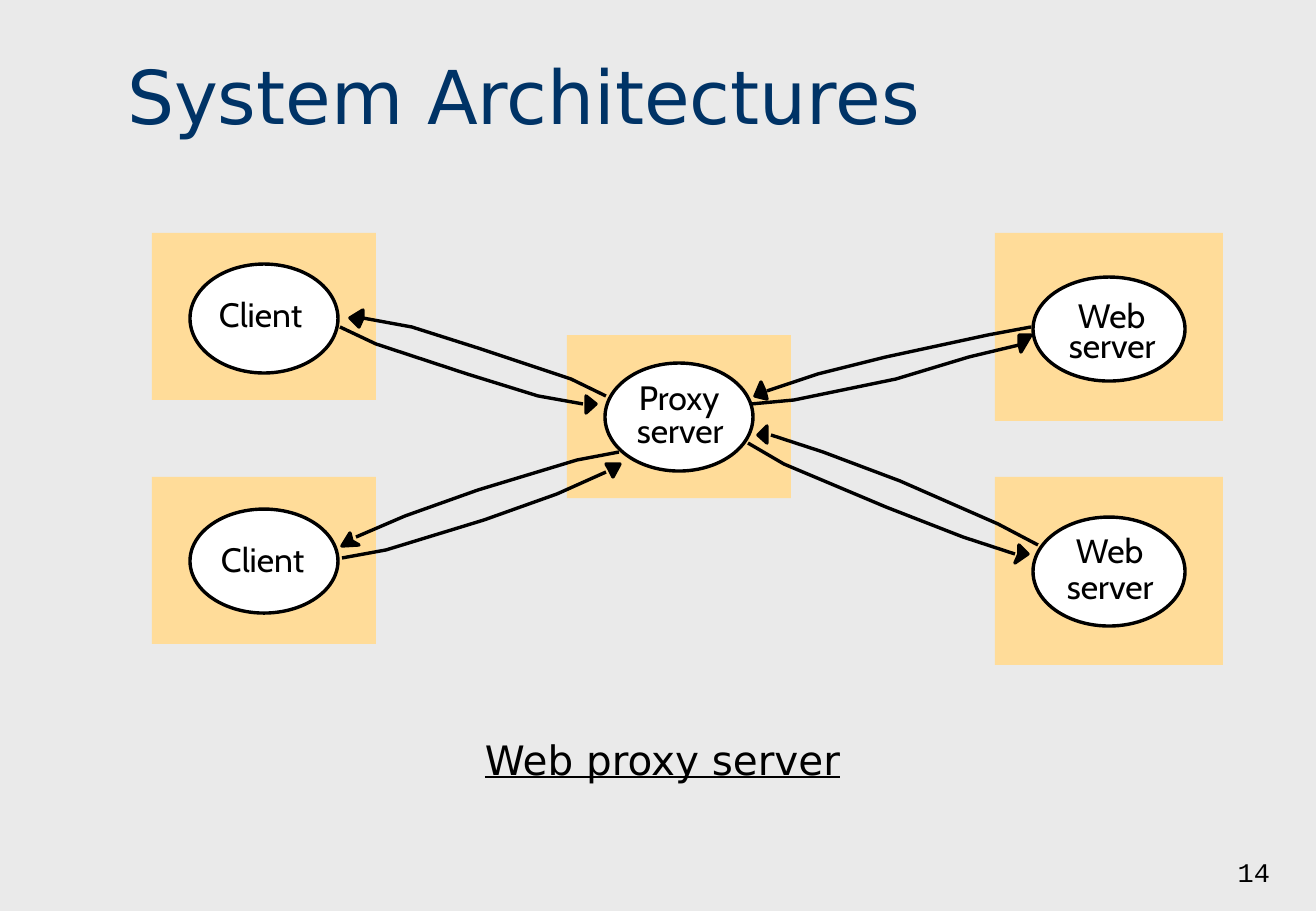
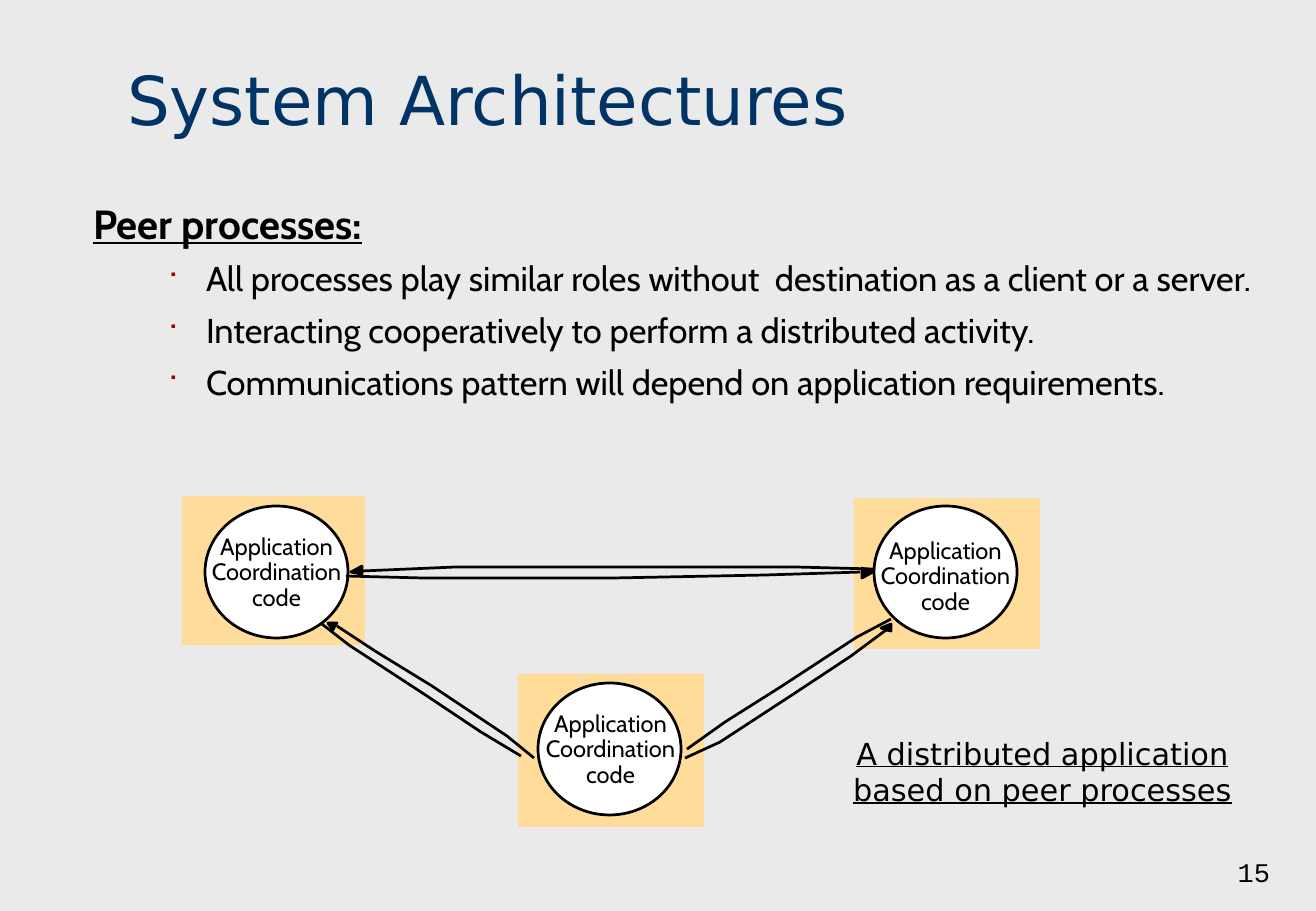
import pptx
import pptx.util
import pptx.dml.color
import pptx.enum.shapes
import pptx.enum.text
import lxml.etree

SLIDE_WIDTH, SLIDE_HEIGHT = 9907588, 6858000
SCALE = SLIDE_WIDTH / 1316
COLORS = {"background": "EAEAEA", "title": "003366", "ink": "000000",
          "frame": "FFDC99", "oval": "FFFFFF", "bullet": "9A0000"}
HEADING_FONT, BODY_FONT, NUMBER_FONT = "DejaVu Sans", "Cabin", "Courier New"
ALIGN = pptx.enum.text.PP_ALIGN
ANCHOR = pptx.enum.text.MSO_ANCHOR
SHAPE = pptx.enum.shapes.MSO_SHAPE


def px(length):
    """Turn pixels into EMU."""
    return pptx.util.Emu(round(length * SCALE))


def rgb(name):
    """Look up a named colour."""
    return pptx.dml.color.RGBColor.from_string(COLORS[name])


def shift(box, origin):
    """Move a box, given relative to a region, onto the slide."""
    return (box[0] + origin[0], box[1] + origin[1], *box[2:])


def add_text(slide, box, lines, size, font=BODY_FONT, color="ink", align=ALIGN.LEFT,
             anchor=ANCHOR.TOP, inset=(12, 6), wrap=True, spacing=None, before=0,
             underline=False):
    """Place a text box with one paragraph per line; return its frame."""
    frame = slide.shapes.add_textbox(*map(px, box)).text_frame
    frame.word_wrap = wrap
    frame.vertical_anchor = anchor
    frame.margin_left = frame.margin_right = px(inset[0])
    frame.margin_top = frame.margin_bottom = px(inset[1])
    for index, line in enumerate(lines):
        paragraph = frame.paragraphs[0] if index == 0 else frame.add_paragraph()
        paragraph.alignment = align
        paragraph.space_before = pptx.util.Pt(before)
        if spacing:
            paragraph.line_spacing = spacing
        run = paragraph.add_run()
        run.text = line
        run.font.name = font
        run.font.size = pptx.util.Pt(size)
        run.font.color.rgb = rgb(color)
        run.font.underline = underline
    return frame


def paint(shape, fill=None, line_width=None):
    """Give a shape its fill and black outline, or leave either out."""
    shape.shadow.inherit = False
    if fill:
        shape.fill.solid()
        shape.fill.fore_color.rgb = rgb(fill)
    else:
        shape.fill.background()
    if line_width:
        shape.line.color.rgb = rgb("ink")
        shape.line.width = pptx.util.Pt(line_width)
    else:
        shape.line.fill.background()


def add_process(slide, origin, frame, oval, line_width):
    """Draw a process: an oval on its coloured computer frame."""
    computer = slide.shapes.add_shape(SHAPE.RECTANGLE, *map(px, shift(frame, origin)))
    paint(computer, "frame")
    process = slide.shapes.add_shape(SHAPE.OVAL, *map(px, shift(oval, origin)))
    paint(process, "oval", line_width)


def add_outline(slide, origin, points, line_width, closed=False):
    """Draw an open bent line or a closed black outline."""
    start, *rest = [shift(point, origin) for point in points]
    builder = slide.shapes.build_freeform(*start, scale=SCALE)
    builder.add_line_segments(rest, close=closed)
    paint(builder.convert_to_shape(), "ink" if closed else None, line_width)


def add_messages(slide, origin, messages, line_width):
    """Draw each message as a bent line with an optional arrowhead."""
    for route, head in messages:
        add_outline(slide, origin, route, line_width)
        if head:
            add_outline(slide, origin, head, line_width, closed=True)


def add_caption(slide, box, caption, size, before):
    """Write the underlined, centred caption of a diagram."""
    add_text(slide, box, [caption], size, HEADING_FONT, align=ALIGN.CENTER,
             before=before, underline=True)


def add_page(deck, number, title_size):
    """Add a slide with the shared title and page number."""
    slide = deck.slides.add_slide(deck.slide_layouts[6])
    add_text(slide, (115, 44, 1174, 101), ["System Architectures"], title_size,
             HEADING_FONT, "title", anchor=ANCHOR.BOTTOM)
    add_text(slide, (1008, 833, 274, 61), [str(number)], 16, NUMBER_FONT,
             align=ALIGN.RIGHT, anchor=ANCHOR.BOTTOM)
    return slide


def add_proxy_diagram(slide, origin):
    """Draw clients and web servers around the proxy server."""
    line_width = 2
    processes = [
        ((52, 33, 224, 167), (90, 64, 148, 109)),
        ((52, 277, 224, 167), (90, 309, 148, 104)),
        ((467, 135, 224, 163), (505, 163, 148, 108)),
        ((895, 33, 228, 188), (933, 77, 152, 104)),
        ((895, 277, 228, 188), (933, 317, 152, 109)),
    ]
    labels = [
        ("Client", 119, 94), ("Client", 121, 339),
        ("Proxy", 539, 177), ("server", 537, 210),
        ("Web", 978, 95), ("server", 969, 125),
        ("Web", 976, 330), ("server", 967, 366),
    ]
    messages = [
        ([(483, 204), (438, 196), (367, 174), (276, 144), (240, 127)],
         [(486, 196), (496, 204), (486, 213)]),
        ([(263, 118), (312, 127), (378, 148), (471, 179), (506, 196)],
         [(263, 118), (259, 127), (250, 118), (263, 110)]),
        ([(915, 354), (863, 337), (786, 307), (684, 264), (648, 243)],
         [(919, 354), (919, 345), (928, 354), (915, 363)]),
        ([(671, 235), (723, 252), (800, 281), (898, 324), (938, 345)],
         [(667, 243), (658, 235), (667, 226)]),
        ([(919, 145), (869, 157), (796, 179), (694, 200), (651, 204)],
         [(919, 144), (919, 135), (931, 135), (921, 152)]),
        ([(667, 191), (718, 174), (786, 157), (888, 135), (931, 127)],
         [(665, 191), (667, 199), (655, 196), (661, 182)]),
        ([(506, 272), (457, 294), (384, 320), (286, 350), (242, 358)],
         [(509, 269), (506, 264), (520, 264), (513, 277)]),
        ([(256, 337), (305, 316), (378, 290), (477, 260), (519, 252)],
         [(252, 341), (259, 345), (242, 346), (250, 333)]),
    ]
    for frame, oval in processes:
        add_process(slide, origin, frame, oval, line_width)
    for label, left, top in labels:
        add_text(slide, shift((left, top, 90, 40), origin), [label], 20,
                 inset=(0, 0), wrap=False)
    add_messages(slide, origin, messages, line_width)


def add_peer_diagram(slide, origin):
    """Draw three peer processes and the messages between them."""
    line_width = 1.62
    peers = [
        ((82, 96, 183, 149), (105, 106, 143, 132), (96, 129)),
        ((754, 98, 186, 151), (774, 106, 143, 132), (765, 133)),
        ((418, 274, 186, 153), (438, 283, 143, 132), (430, 306)),
    ]
    messages = [
        ([(421, 356), (381, 332), (324, 294), (249, 245), (222, 224)], None),
        ([(237, 226), (275, 251), (332, 286), (407, 336), (434, 358)],
         [(235, 226), (233, 230), (228, 223), (237, 223)]),
        ([(760, 172), (665, 175), (512, 178), (324, 178), (246, 176)],
         [(762, 168), (773, 172), (762, 178)]),
        ([(262, 171), (356, 167), (509, 167), (695, 167), (773, 169)],
         [(262, 174), (251, 172), (262, 166)]),
        ([(587, 349), (625, 322), (682, 286), (757, 237), (791, 219)], None),
        ([(786, 230), (751, 256), (695, 293), (620, 342), (585, 358)],
         [(786, 230), (781, 228), (791, 224), (791, 231)]),
    ]
    for frame, oval, _ in peers:
        add_process(slide, origin, frame, oval, line_width)
    add_messages(slide, origin, messages, line_width)
    for _, _, corner in peers:
        add_text(slide, shift((*corner, 161, 114), origin),
                 ["Application", "Coordination", "code"], 14,
                 align=ALIGN.CENTER, spacing=0.9)


def add_bullet(paragraph):
    """Give a paragraph a hanging square bullet."""
    properties = paragraph._p.get_or_add_pPr()
    properties.set("marL", str(px(113)))
    properties.set("indent", str(px(-38)))
    tag = pptx.oxml.ns.qn
    color = lxml.etree.SubElement(properties, tag("a:buClr"))
    lxml.etree.SubElement(color, tag("a:srgbClr"), val=COLORS["bullet"])
    lxml.etree.SubElement(properties, tag("a:buSzPct"), val="70000")
    lxml.etree.SubElement(properties, tag("a:buFont"), typeface="Wingdings")
    lxml.etree.SubElement(properties, tag("a:buChar"), char="\u25a0")


def add_peer_points(slide, box):
    """Write the underlined heading and its bulleted points."""
    lines = [
        "Peer processes:",
        "All processes play similar roles without  destination as a client or a server.",
        "Interacting cooperatively to perform a distributed activity.",
        "Communications pattern will depend on application requirements.",
    ]
    frame = add_text(slide, box, lines, 20.4, align=ALIGN.JUSTIFY, spacing=0.8, before=11)
    heading, *points = frame.paragraphs
    heading.space_before = pptx.util.Pt(13)
    heading_font = heading.runs[0].font
    heading_font.size = pptx.util.Pt(24.1)
    heading_font.bold = heading_font.underline = True
    for point in points:
        add_bullet(point)


def build_proxy_slide(deck):
    """Build the slide on the web proxy server."""
    slide = add_page(deck, 14, 44)
    add_proxy_diagram(slide, (100, 200))
    add_caption(slide, (283, 729, 759, 61), "Web proxy server", 24, 15)


def build_peer_slide(deck):
    """Build the slide on peer processes."""
    slide = add_page(deck, 15, 40)
    add_peer_points(slide, (81, 202, 1219, 283))
    add_peer_diagram(slide, (100, 400))
    add_caption(slide, (830, 729, 425, 85),
                "A distributed application based on peer processes", 18, 11.2)


def main():
    """Build and save the deck."""
    deck = pptx.Presentation()
    deck.slide_width = pptx.util.Emu(SLIDE_WIDTH)
    deck.slide_height = pptx.util.Emu(SLIDE_HEIGHT)
    backdrop = deck.slide_master.background.fill
    backdrop.solid()
    backdrop.fore_color.rgb = rgb("background")
    build_proxy_slide(deck)
    build_peer_slide(deck)
    deck.save("out.pptx")


main()
